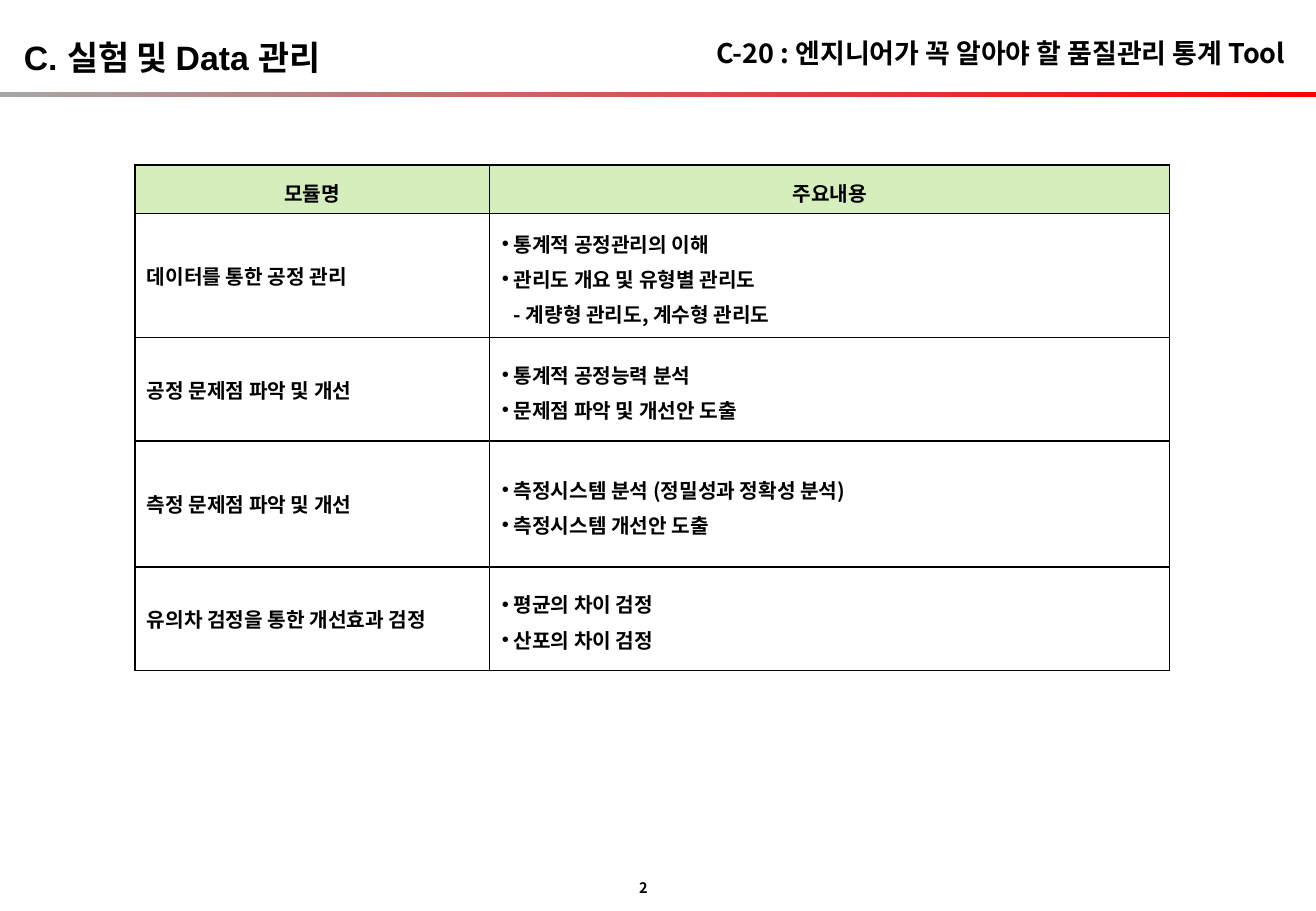
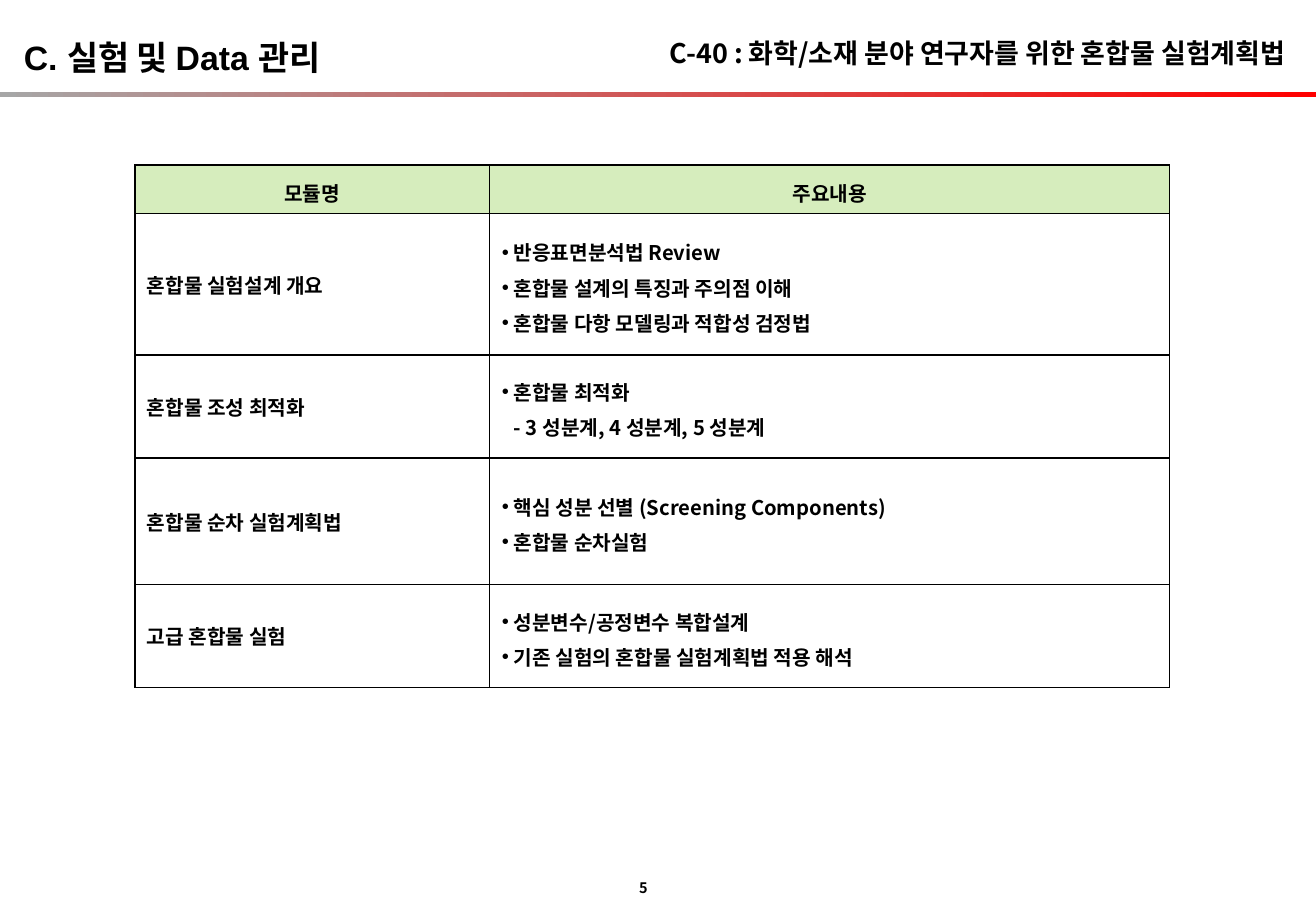
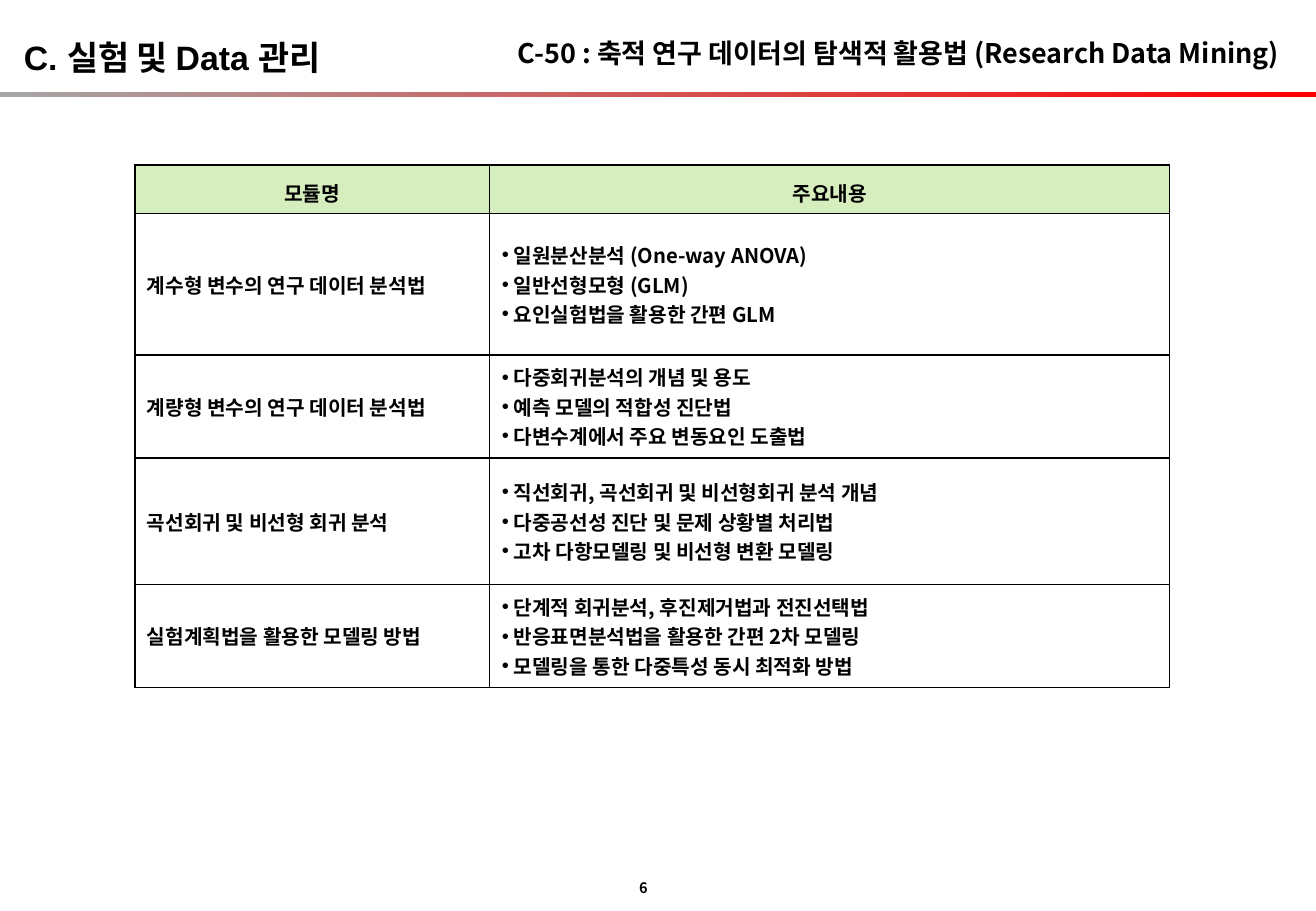
from lxml.etree import SubElement
from pptx import Presentation
from pptx.dml.color import RGBColor
from pptx.enum.shapes import MSO_SHAPE
from pptx.enum.text import MSO_ANCHOR, MSO_AUTO_SIZE, PP_ALIGN
from pptx.oxml import parse_xml
from pptx.oxml.ns import nsdecls, qn
from pptx.util import Cm, Pt

# Shared style
BLACK = RGBColor(0x00, 0x00, 0x00)
GREY = RGBColor(0xA6, 0xA6, 0xA6)
RED = RGBColor(0xFF, 0x00, 0x00)
LIGHT_GREEN = RGBColor(0xD6, 0xED, 0xBD)
KOREAN_FONT = "Noto Sans CJK KR"
SECTION_FONT = "Arial"

SLIDE_WIDTH, SLIDE_HEIGHT = Cm(27.52), Cm(19.05)
TITLE_RIGHT = Cm(27.13)
COLUMN_WIDTHS = (Cm(7.42), Cm(14.22))
HEADER_HEIGHT = Cm(1.02)
LOWER_ROW_HEIGHTS = (Cm(2.16), Cm(2.64), Cm(2.16))
BULLET_INDENT = Cm(0.25)

SECTION = "C. 실험 및 Data 관리"
HEADINGS = ("모듈명", "주요내용")

# Content: each module has a name and its topics; "\v" breaks a line in a topic
COURSES = [
    dict(
        title="C-20 : 엔지니어가 꼭 알아야 할 품질관리 통계 Tool",
        title_width=Cm(13.84), number="2", first_row=Cm(2.59), spacing=1.2,
        modules=[
            ("데이터를 통한 공정 관리",
             ["통계적 공정관리의 이해",
              "관리도 개요 및 유형별 관리도\v- 계량형 관리도, 계수형 관리도"]),
            ("공정 문제점 파악 및 개선",
             ["통계적 공정능력 분석", "문제점 파악 및 개선안 도출"]),
            ("측정 문제점 파악 및 개선",
             ["측정시스템 분석 (정밀성과 정확성 분석)", "측정시스템 개선안 도출"]),
            ("유의차 검정을 통한 개선효과 검정",
             ["평균의 차이 검정", "산포의 차이 검정"]),
        ]),
    dict(
        title="C-40 : 화학/소재 분야 연구자를 위한 혼합물 실험계획법",
        title_width=Cm(14.99), number="5", first_row=Cm(2.95), spacing=1.2,
        modules=[
            ("혼합물 실험설계 개요",
             ["반응표면분석법 Review", "혼합물 설계의 특징과 주의점 이해",
              "혼합물 다항 모델링과 적합성 검정법"]),
            ("혼합물 조성 최적화",
             ["혼합물 최적화\v- 3 성분계, 4 성분계, 5 성분계"]),
            ("혼합물 순차 실험계획법",
             ["핵심 성분 선별 (Screening Components)", "혼합물 순차실험"]),
            ("고급 혼합물 실험",
             ["성분변수/공정변수 복합설계",
              "기존 실험의 혼합물 실험계획법 적용 해석"]),
        ]),
    dict(
        title="C-50 : 축적 연구 데이터의 탐색적 활용법 (Research Data Mining) ",
        title_width=Cm(18.49), number="6", first_row=Cm(2.95), spacing=1.0,
        modules=[
            ("계수형 변수의 연구 데이터 분석법",
             ["일원분산분석 (One-way ANOVA)", "일반선형모형 (GLM)",
              "요인실험법을 활용한 간편 GLM"]),
            ("계량형 변수의 연구 데이터 분석법",
             ["다중회귀분석의 개념 및 용도", "예측 모델의 적합성 진단법",
              "다변수계에서 주요 변동요인 도출법"]),
            ("곡선회귀 및 비선형 회귀 분석",
             ["직선회귀, 곡선회귀 및 비선형회귀 분석 개념",
              "다중공선성 진단 및 문제 상황별 처리법",
              "고차 다항모델링 및 비선형 변환 모델링"]),
            ("실험계획법을 활용한 모델링 방법",
             ["단계적 회귀분석, 후진제거법과 전진선택법",
              "반응표면분석법을 활용한 간편 2차 모델링",
              "모델링을 통한 다중특성 동시 최적화 방법"]),
        ]),
]


def write_text(paragraph, text, size=12, font=KOREAN_FONT,
               align=PP_ALIGN.LEFT, spacing=1.0, bullet=False):
    """Write one paragraph of bold black text."""
    paragraph.text = text
    if bullet:
        properties = paragraph._p.get_or_add_pPr()
        properties.set("marL", str(BULLET_INDENT))
        properties.set("indent", str(-BULLET_INDENT))
        SubElement(properties, qn("a:buFont"), typeface="Arial")
        SubElement(properties, qn("a:buChar"), char="•")
    paragraph.alignment = align
    paragraph.line_spacing = spacing
    for run in paragraph.runs:
        run.font.size = Pt(size)
        run.font.bold = True
        run.font.name = font
        run.font.color.rgb = BLACK
        east_asian = SubElement(run.font._element, qn("a:ea"))
        east_asian.set("typeface", KOREAN_FONT)
    # Line breaks take the size of the text around them
    for line_break in paragraph._p.findall(qn("a:br")):
        SubElement(line_break, qn("a:rPr"), sz=str(size * 100))


def add_label(slide, text, left, top, width, height,
              anchor=MSO_ANCHOR.MIDDLE, **text_format):
    frame = slide.shapes.add_textbox(left, top, width, height).text_frame
    frame.word_wrap = False
    frame.auto_size = MSO_AUTO_SIZE.SHAPE_TO_FIT_TEXT
    frame.vertical_anchor = anchor
    write_text(frame.paragraphs[0], text, **text_format)


def add_band(slide):
    band = slide.shapes.add_shape(
        MSO_SHAPE.RECTANGLE, 0, Cm(1.93), SLIDE_WIDTH, Cm(0.1))
    band.shadow.inherit = False
    band.line.fill.background()
    band.fill.gradient()
    band.fill.gradient_angle = 0
    for stop, color, position in zip(
            band.fill.gradient_stops, (GREY, RED), (0, 1)):
        stop.color.rgb = color
        stop.position = position


def add_frame(slide, title, title_width, number):
    """Add the band, title, page number and section name."""
    add_band(slide)
    add_label(slide, title, TITLE_RIGHT - title_width, Cm(0.64),
              title_width, Cm(0.94), size=16, align=PP_ALIGN.RIGHT)
    add_label(slide, number, Cm(13), Cm(18.26), Cm(0.91), Cm(0.61),
              size=8.6, align=PP_ALIGN.CENTER)
    add_label(slide, SECTION, Cm(0.25), Cm(0.64), Cm(7.29), Cm(1.12),
              anchor=MSO_ANCHOR.TOP, size=20, font=SECTION_FONT)


def set_borders(cell):
    properties = cell._tc.get_or_add_tcPr()
    for position, side in enumerate(("lnL", "lnR", "lnT", "lnB")):
        properties.insert(position, parse_xml(
            f'<a:{side} {nsdecls("a")} w="{Pt(1)}"><a:solidFill>'
            f'<a:srgbClr val="{BLACK}"/></a:solidFill></a:{side}>'))


def fill_cell(cell, lines, color=None, **text_format):
    cell.vertical_anchor = MSO_ANCHOR.MIDDLE
    if color is None:
        cell.fill.background()
    else:
        cell.fill.solid()
        cell.fill.fore_color.rgb = color
    set_borders(cell)
    frame = cell.text_frame
    for index, line in enumerate(lines):
        paragraph = frame.add_paragraph() if index else frame.paragraphs[0]
        write_text(paragraph, line, **text_format)


def add_module_table(slide, modules, first_row, spacing):
    heights = (HEADER_HEIGHT, first_row, *LOWER_ROW_HEIGHTS)
    table = slide.shapes.add_table(
        len(heights), len(COLUMN_WIDTHS), Cm(2.82), Cm(3.45),
        sum(COLUMN_WIDTHS), sum(heights)).table
    table.horz_banding = False
    for column, width in zip(table.columns, COLUMN_WIDTHS):
        column.width = width
    for row, height in zip(table.rows, heights):
        row.height = height

    for column, heading in enumerate(HEADINGS):
        fill_cell(table.cell(0, column), [heading], color=LIGHT_GREEN,
                  align=PP_ALIGN.CENTER, spacing=1.2)
    for row, (module, topics) in enumerate(modules, start=1):
        fill_cell(table.cell(row, 0), [module])
        fill_cell(table.cell(row, 1), topics, spacing=spacing, bullet=True)


def main():
    presentation = Presentation()
    presentation.slide_width = SLIDE_WIDTH
    presentation.slide_height = SLIDE_HEIGHT
    blank = presentation.slide_layouts[6]
    for course in COURSES:
        slide = presentation.slides.add_slide(blank)
        add_frame(slide, course["title"], course["title_width"],
                  course["number"])
        add_module_table(slide, course["modules"], course["first_row"],
                         course["spacing"])
    presentation.save("out.pptx")


if __name__ == "__main__":
    main()
